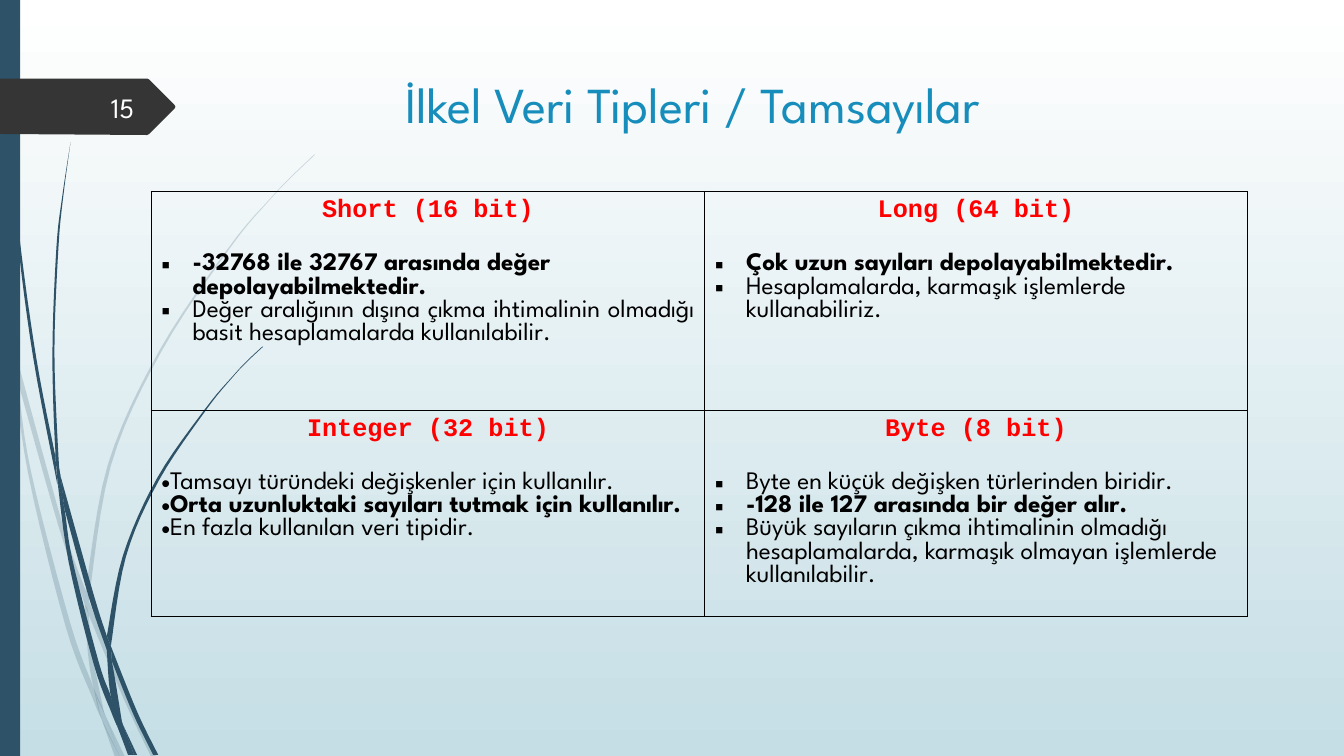
from dataclasses import dataclass

from lxml import etree
from pptx import Presentation
from pptx import util as u
from pptx.dml.color import RGBColor
from pptx.enum import shapes, text
from pptx.oxml import ns

COLUMNS, ROWS = 1333, 750


@dataclass(frozen=True)
class Theme:
    font: str = "League Spartan"
    code_font: str = "Courier New"
    navy: str = "2E5369"
    tag: str = "353535"
    title: str = "178DBB"
    heading: str = "FF0000"
    ink: str = "000000"
    light: str = "FEFFFF"
    sky: tuple = ("FFFFFF", "C5DEE5")
    title_size: int = 36
    number_size: int = 20
    body_size: int = 18
    heading_gap: int = 20


PALE_RIBBONS = [
    ((11, 350, 9, 322, 0, 282), (0, 299, 11, 350)),
    ((14, 345, 62, 520, 85, 586), (84, 599, 58, 522, 17, 376)),
    ((88, 596, 127, 692, 155, 751), (150, 751, 123, 694, 88, 610)),
    ((105, 711, 124, 751), (119, 751)),
    ((11, 350, 28, 470, 65, 621, 92, 693, 101, 714),
     (99, 707, 93, 683, 70, 619, 31, 469, 17, 376, 11, 350)),
    ((84, 599, 87, 646, 93, 683, 105, 711), (103, 706, 91, 646, 88, 610, 84, 599)),
    ((85, 586, 107, 461, 158, 348, 228, 244, 268, 197, 289, 175, 312, 153),
     (312, 154, 290, 175, 268, 198, 229, 245, 160, 349, 110, 462, 88, 596)),
    ((101, 714, 114, 751), (119, 751)),
    ((84, 599, 85, 586), (88, 596, 88, 610)),
    ((93, 683, 105, 711, 119, 751), (119, 751, 101, 714, 93, 683)),
]
DARK_RIBBONS = [
    ((3, 0, 4, 48, 7, 110, 17, 233, 33, 355, 57, 481),
     (55, 453, 36, 355, 19, 232, 8, 109, 5, 48, 4, 0)),
    ((60, 472, 93, 590, 106, 631), (106, 645, 88, 592, 64, 505)),
    ((110, 641, 136, 706, 157, 749), (152, 749, 132, 708, 111, 656)),
    ((57, 477, 68, 557, 93, 659, 111, 708, 117, 722),
     (116, 717, 110, 691, 98, 657, 72, 556, 64, 505, 57, 477)),
    ((70, 141, 62, 193, 56, 245, 52, 349, 55, 449, 60, 472),
     (60, 472, 58, 453, 54, 349, 58, 245, 63, 193, 70, 141)),
    ((122, 719, 136, 749), (133, 749)),
    ((55, 449, 60, 472, 64, 505), (57, 477, 55, 453)),
    ((106, 631, 122, 551, 156, 474, 204, 405, 231, 373, 245, 358, 260, 344),
     (261, 344, 245, 359, 231, 374, 205, 406, 158, 476, 125, 552, 110, 641)),
    ((117, 722, 131, 749), (127, 749)),
    ((106, 645, 110, 691, 122, 719), (121, 716, 111, 656, 106, 645)),
    ((106, 631, 106, 645), (111, 656, 110, 641)),
    ((110, 691, 122, 719, 133, 749), (130, 749, 117, 722, 110, 691)),
]
TAG = (0, 78, 146, 78, 148, 79, 173, 104, 174, 106, 173, 108, 148, 133, 146, 134, 0, 133)

LEFT, JUSTIFIED = text.PP_ALIGN.LEFT, text.PP_ALIGN.JUSTIFY
TYPES = [
    [("Short (16 bit)", "▪", [
        ("-32768 ile 32767 arasında değer depolayabilmektedir.", True, LEFT),
        ("Değer aralığının dışına çıkma ihtimalinin olmadığı basit hesaplamalarda kullanılabilir.",
         False, JUSTIFIED)]),
     ("Long (64 bit)", "▪", [
         ("Çok uzun sayıları depolayabilmektedir.", True, JUSTIFIED),
         ("Hesaplamalarda, karmaşık işlemlerde kullanabiliriz.", False, LEFT)])],
    [("Integer (32 bit)", "•", [
        ("Tamsayı türündeki değişkenler için kullanılır.", False, LEFT),
        ("Orta uzunluktaki sayıları tutmak için kullanılır.", True, LEFT),
        ("En fazla kullanılan veri tipidir.", False, LEFT)]),
     ("Byte (8 bit)", "▪", [
         ("Byte en küçük değişken türlerinden biridir.", False, LEFT),
         ("-128 ile 127 arasında bir değer alır.", True, JUSTIFIED),
         ("Büyük sayıların çıkma ihtimalinin olmadığı hesaplamalarda, karmaşık olmayan "
          "işlemlerde kullanılabilir.", False, LEFT)])],
]


def pairs(flat):
    return list(zip(flat[::2], flat[1::2]))


def smooth(points, steps=6):
    padded = [points[0], *points, points[-1]]
    curve = [points[0]]
    for a, b, c, d in zip(padded, padded[1:], padded[2:], padded[3:]):
        for step in range(1, steps + 1):
            t = step / steps
            curve.append(tuple(
                q + t / 2 * (r - p + t * (2 * p - 5 * q + 4 * r - s + t * (3 * (q - r) + s - p)))
                for p, q, r, s in zip(a, b, c, d)))
    return curve


class Painter:
    def __init__(self, deck, theme):
        self.theme = theme
        self.column = deck.slide_width / COLUMNS
        self.row = deck.slide_height / ROWS
        self.page = deck.slides.add_slide(deck.slide_layouts[5])

    def place(self, x, y, width, height):
        return [round(n * unit) for n, unit in
                zip((x, y, width, height), (self.column, self.row) * 2)]

    def background(self):
        fill = self.page.background.fill
        fill.gradient()
        fill.gradient_angle = 270
        for position, (stop, color) in enumerate(zip(fill.gradient_stops, self.theme.sky)):
            stop.position = position
            stop.color.rgb = RGBColor.from_string(color)

    def paint(self, shape, color, opacity=100):
        shape.shadow.inherit = False
        shape.fill.solid()
        shape.fill.fore_color.rgb = RGBColor.from_string(color)
        shape.line.fill.background()
        if opacity < 100:
            tint = shape._element.spPr.find(".//" + ns.qn("a:srgbClr"))
            etree.SubElement(tint, ns.qn("a:alpha"), val=str(opacity * 1000))

    def outline(self, points, color, opacity=100, parent=None):
        corners = [(round(x * self.column), round(y * self.row)) for x, y in points]
        builder = (parent or self.page).shapes.build_freeform(*corners[0])
        builder.add_line_segments(corners[1:], close=True)
        self.paint(builder.convert_to_shape(), color, opacity)

    def ribbons(self, edges, opacity=100):
        group = self.page.shapes.add_group_shape()
        for first, second in edges:
            points = smooth(pairs(first)) + smooth(pairs(second))
            self.outline(points, self.theme.navy, opacity, group)

    def bar(self, *area):
        shape = self.page.shapes.add_shape(shapes.MSO_SHAPE.RECTANGLE, *self.place(*area))
        self.paint(shape, self.theme.navy)

    def add_words(self, para, words, size, color, align, bold=False, font=None):
        para.alignment = align
        span = para.add_run()
        span.text = words
        span.font.name = font or self.theme.font
        span.font.size = u.Pt(size)
        span.font.bold = bold
        span.font.color.rgb = RGBColor.from_string(color)

    def label(self, box, area, words, size, color, align):
        box.left, box.top, box.width, box.height = self.place(*area)
        frame = box.text_frame
        frame.word_wrap = True
        frame.auto_size = text.MSO_AUTO_SIZE.NONE
        frame.vertical_anchor = text.MSO_ANCHOR.MIDDLE
        self.add_words(frame.paragraphs[0], words, size, color, align)

    def title(self, words, *area):
        self.label(self.page.shapes.title, area, words, self.theme.title_size,
                   self.theme.title, text.PP_ALIGN.CENTER)

    def number(self, words, *area):
        self.label(self.page.shapes.add_textbox(0, 0, 0, 0), area, words,
                   self.theme.number_size, self.theme.light, text.PP_ALIGN.RIGHT)

    def bullet(self, para, mark):
        indent = round(31 * self.column) if mark == "▪" else 0
        props = para._p.get_or_add_pPr()
        props.set("marL", str(indent))
        props.set("indent", str(-indent))
        etree.SubElement(props, ns.qn("a:buFont"), typeface="Arial")
        etree.SubElement(props, ns.qn("a:buChar"), char=mark)

    def cell(self, cell, heading, mark, items):
        theme, frame = self.theme, cell.text_frame
        props = cell._tc.get_or_add_tcPr()
        for side in ("lnL", "lnR", "lnT", "lnB"):
            line = etree.SubElement(props, ns.qn("a:" + side), w=str(u.Pt(1)))
            ink = etree.SubElement(line, ns.qn("a:solidFill"))
            etree.SubElement(ink, ns.qn("a:srgbClr"), val=theme.ink)
        cell.fill.background()
        para = frame.paragraphs[0]
        para.space_after = u.Pt(theme.heading_gap)
        self.add_words(para, heading, theme.body_size, theme.heading,
                       text.PP_ALIGN.CENTER, True, theme.code_font)
        for words, bold, align in items:
            para = frame.add_paragraph()
            self.bullet(para, mark)
            self.add_words(para, words, theme.body_size, theme.ink, align, bold)

    def table(self, x, y, widths, heights, content):
        area = self.place(x, y, sum(widths), sum(heights))
        grid = self.page.shapes.add_table(len(heights), len(widths), *area).table
        grid.first_row = grid.horz_banding = False
        for column, width in zip(grid.columns, widths):
            column.width = round(width * self.column)
        for row, height, entries in zip(grid.rows, heights, content):
            row.height = round(height * self.row)
            for cell, entry in zip(row.cells, entries):
                self.cell(cell, *entry)


def main():
    deck = Presentation()
    deck.slide_width, deck.slide_height = u.Inches(13.33), u.Inches(7.5)
    painter = Painter(deck, Theme())
    painter.background()
    painter.ribbons(PALE_RIBBONS, opacity=20)
    painter.ribbons(DARK_RIBBONS)
    painter.bar(0, 0, 20, ROWS)
    painter.outline(pairs(TAG), painter.theme.tag)
    painter.title("İlkel Veri Tipleri / Tamsayılar", 284, 68, 806, 70)
    painter.number("15", 58, 86, 85, 40)
    painter.table(150, 190, (549, 538), (217, 205), TYPES)
    deck.save("out.pptx")


if __name__ == "__main__":
    main()
